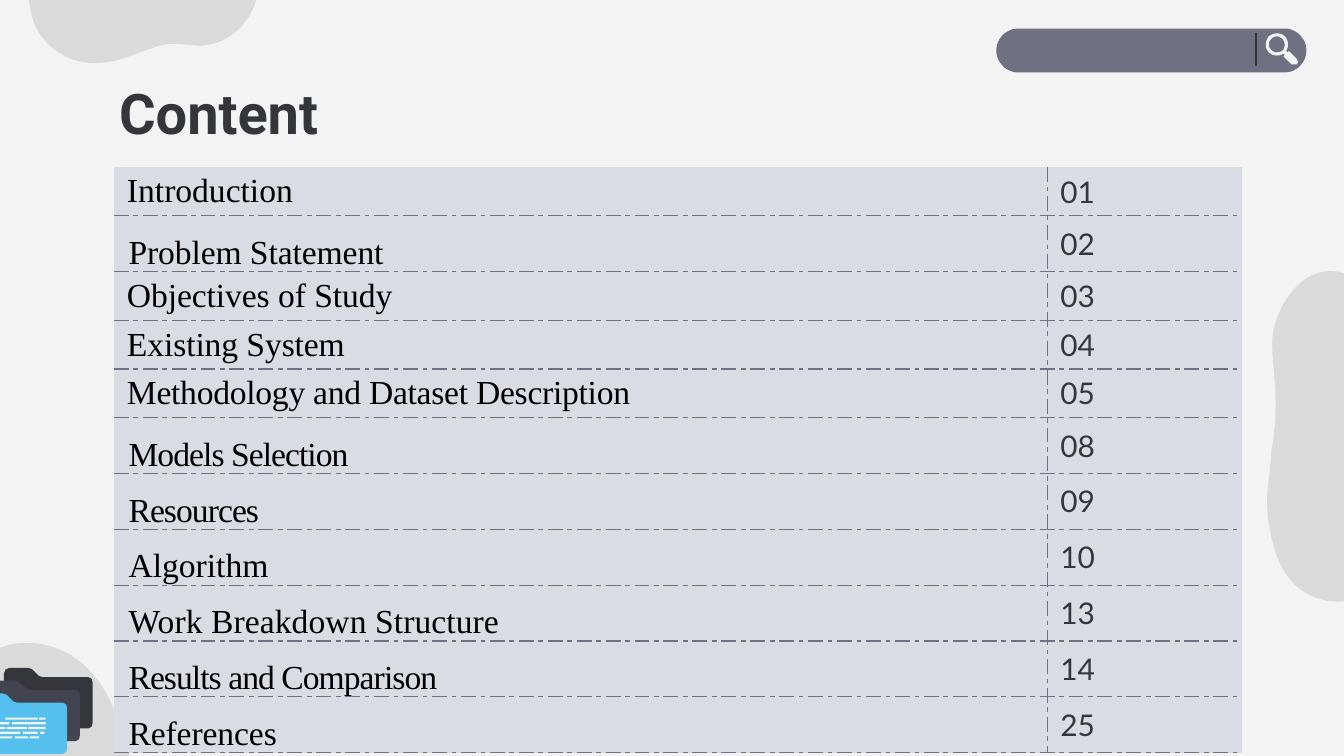
"""Build the contents slide: a page table with search bar, folders and soft blobs."""
from lxml import etree
from pptx import Presentation
from pptx.dml.color import RGBColor
from pptx.enum.shapes import MSO_CONNECTOR, MSO_SHAPE
from pptx.enum.text import MSO_ANCHOR, PP_ALIGN
from pptx.oxml.ns import qn
from pptx.util import Cm, Pt

STRAIGHT = MSO_CONNECTOR.STRAIGHT
PILL = MSO_SHAPE.ROUNDED_RECTANGLE
TOP, MIDDLE, LEFT = MSO_ANCHOR.TOP, MSO_ANCHOR.MIDDLE, PP_ALIGN.LEFT

THEME = {
    "background": "F3F3F3", "blob": "000000", "ink": "35363B", "slate": "6F7082",
    "cell": "D9DDE3", "topic": "000000", "folders": ("35363B", "42444F", "55C0ED"),
    "title_font": "Roboto", "topic_font": "Times New Roman", "page_font": "Lato",
    "title_size": 30, "topic_size": 18, "page_size": 16, "rule": 0.75,
}

TITLE = "Content"
TOPICS = [
    {"runs": [("Introduction", 0)], "page": "01", "roomy": False},
    {"runs": [("Problem Statement", -5)], "page": "02", "roomy": True},
    {"runs": [("Objectives ", -5), ("of ", 0), ("Study", -5)], "page": "03", "roomy": False},
    {"runs": [("Existing System", -5)], "page": "04", "roomy": False},
    {"runs": [("Methodology and Dataset Description", -15)], "page": "05", "roomy": False},
    {"runs": [("Models Selection", -50)], "page": "08", "roomy": True},
    {"runs": [("Resources", -50)], "page": "09", "roomy": True},
    {"runs": [("Algorithm", 0)], "page": "10", "roomy": True},
    {"runs": [("Work Breakdown Structure", 5)], "page": "13", "roomy": True},
    {"runs": [("Results and Comparison", -50)], "page": "14", "roomy": True},
    {"runs": [("References", -5)], "page": "25", "roomy": True},
]

UNIT = Cm(0.0254)
FINE = 100
BLOBS = [
    [(47, 41), (50, 43, 53, 44, 57, 45), (81, 52, 100, 39, 119, 34),
     (129, 31, 140, 34, 150, 34), (183, 32, 200, -5, 190, -29),
     (185, -42, 176, -52, 163, -59), (154, -64, 144, -67, 132, -70),
     (101, -77, 80, -82, 50, -67), (19, -52, 16, -13, 25, 16), (25, 16, 30, 32, 47, 41)],
    [(30, 479), (39, 481, 49, 484, 59, 492), (82, 510, 90, 540, 97, 564),
     (104, 589, 94, 610, 74, 618), (69, 620, 64, 620, 60, 620),
     (47, 618, 36, 607, 17, 603), (14, 603, 11, 602, 8, 602), (5, 601, 2, 601, -1, 600),
     (-14, 598, -22, 596, -36, 583), (-56, 565, -54, 529, -33, 506),
     (-12, 482, 11, 479, 11, 479), (11, 479, 19, 478, 30, 479)],
    [(1080, 349), (1082, 334, 1082, 317, 1077, 299), (1067, 257, 1039, 234, 1017, 214),
     (995, 193, 969, 200, 954, 228), (950, 236, 948, 242, 947, 249),
     (945, 269, 952, 290, 948, 321), (948, 326, 947, 331, 946, 335),
     (946, 341, 945, 345, 945, 350), (942, 371, 941, 384, 949, 411),
     (961, 448, 998, 459, 1030, 435), (1061, 411, 1073, 378, 1073, 378),
     (1073, 378, 1077, 366, 1080, 349)],
]
MAGNIFIER = [
    [(965, 44), (959, 38), (958, 39), (957, 38), (959, 35, 959, 30, 956, 27),
     (953, 24, 948, 24, 944, 27), (941, 31, 941, 36, 944, 39), (947, 42, 952, 42, 955, 40),
     (956, 41), (955, 42), (961, 48), (962, 48, 964, 48, 965, 48), (966, 47, 966, 45, 965, 44)],
    [(950, 39), (947, 39, 944, 36.5, 944, 33), (944, 30, 947, 27, 950, 27),
     (953, 27, 956, 30, 956, 33), (956, 37, 954, 39, 950, 39)],
]
FOLDER = [(24, 498), (29, 503), (30, 504, 31, 504, 32, 504), (66, 504),
          (68, 504, 69, 506, 69, 508), (69, 538), (69, 540, 68, 542, 66, 542), (7, 542),
          (5, 542, 3, 540, 3, 538), (3, 501), (3, 499, 5, 497, 7, 497), (21, 497),
          (22, 497, 23, 497, 24, 498)]
FOLDER_SHIFT = 9.5
FOLDER_LINES = [[(4, 28), (29, 34)], [(0, 7), (9, 34)], [(0, 4), (5, 20), (21, 34)],
                [(0, 15), (17, 28), (30, 33)], [(0, 9), (11, 21), (22, 29)]]
LINE_TOP, LINE_PITCH, LINE_HEIGHT = 534, 3.5, 1.6


def paint(shape, color):
    shape.shadow.inherit = False
    shape.fill.solid()
    shape.fill.fore_color.rgb = RGBColor.from_string(color)
    shape.line.fill.background()
    return shape


def bend(shape, steps):
    segments = iter(list(shape._element.iter(qn("a:lnTo"))))
    for step in steps:
        segment = next(segments)
        if len(step) == 6:
            curve = etree.Element(qn("a:cubicBezTo"))
            segment.addprevious(curve)
            for control in (segment, next(segments), next(segments)):
                curve.append(control[0])
                control.getparent().remove(control)


def draw(shapes, contours, color, shift=0):
    builder = None
    for contour in contours:
        points = [((step[i] - shift) * FINE, (step[i + 1] + shift) * FINE)
                  for step in contour for i in range(0, len(step), 2)]
        if builder is None:
            builder = shapes.build_freeform(*points[0], scale=UNIT / FINE)
        else:
            builder.move_to(*points[0])
        builder.add_line_segments(points[1:], close=False)
    shape = builder.convert_to_shape()
    bend(shape, [step for contour in contours for step in contour[1:]])
    for start in list(shape._element.iter(qn("a:moveTo")))[1:]:
        start.addprevious(etree.Element(qn("a:close")))
    etree.SubElement(next(shape._element.iter(qn("a:path"))), qn("a:close"))
    return paint(shape, color)


def add_blobs(shapes):
    for outline in BLOBS:
        blob = draw(shapes, [outline], THEME["blob"])
        color = blob._element.spPr.find(qn("a:solidFill"))[0]
        etree.SubElement(color, qn("a:alpha"), val="10000")


def add_search_bar(shapes):
    bar = paint(shapes.add_shape(PILL, Cm(18.83), Cm(0.54), Cm(5.86), Cm(0.83)),
                THEME["slate"])
    bar.adjustments[0] = 0.5
    draw(shapes, MAGNIFIER, THEME["background"])
    divider = shapes.add_connector(STRAIGHT, Cm(23.74), Cm(0.63), Cm(23.74), Cm(1.25))
    divider.line.color.rgb = RGBColor.from_string(THEME["ink"])
    divider.line.width = Pt(THEME["rule"])
    etree.SubElement(divider._element.spPr, qn("a:effectLst"))


def add_folders(shapes):
    for number, color in enumerate(THEME["folders"]):
        draw(shapes, [FOLDER], color, number * FOLDER_SHIFT)
    dashes = []
    for row, spans in enumerate(FOLDER_LINES):
        top = LINE_TOP + row * LINE_PITCH
        bottom = top + LINE_HEIGHT
        dashes += [[(a, top), (b, top), (b, bottom), (a, bottom)] for a, b in spans]
    draw(shapes, dashes, THEME["background"])


def add_run(paragraph, text, kind, color, spacing=0, bold=False):
    run = paragraph.add_run()
    run.text = text
    run.font.name, run.font.size = THEME[kind + "_font"], Pt(THEME[kind + "_size"])
    run.font.bold = bold
    run.font.color.rgb = RGBColor.from_string(color)
    if spacing:
        run._r.get_or_add_rPr().set("spc", str(spacing))


def style_cell(cell, ruled):
    properties = cell._tc.get_or_add_tcPr()
    for side in "LRTB":
        edge = etree.SubElement(properties, qn("a:ln" + side), w=str(Pt(THEME["rule"])))
        if side in ruled:
            fill = etree.SubElement(edge, qn("a:solidFill"))
            etree.SubElement(fill, qn("a:srgbClr"), val=THEME["slate"])
            etree.SubElement(edge, qn("a:prstDash"), val="dashDot")
        else:
            etree.SubElement(edge, qn("a:noFill"))
    cell.fill.solid()
    cell.fill.fore_color.rgb = RGBColor.from_string(THEME["cell"])
    cell.margin_left = cell.margin_right = Cm(0.25)
    cell.margin_top = cell.margin_bottom = 0
    cell.vertical_anchor = MIDDLE


def add_contents(shapes):
    table = shapes.add_table(len(TOPICS), 2, Cm(2.15), Cm(3.16), Cm(21.32), Cm(10.4)).table
    table.first_row = table.horz_banding = False
    table.columns[0].width, table.columns[1].width = Cm(17.64), Cm(3.68)
    for row, entry in enumerate(TOPICS):
        table.rows[row].height = Cm(0.97 if entry["roomy"] else 0.92)
        topic_cell, page_cell = table.cell(row, 0), table.cell(row, 1)
        across = "TB" if row else "B"
        style_cell(topic_cell, "R" + across)
        style_cell(page_cell, "L" + across)
        topic = topic_cell.text_frame.paragraphs[0]
        if entry["roomy"]:
            topic.line_spacing = 1.5
            topic._p.get_or_add_pPr().set("marL", str(Cm(0.03)))
        for text, spacing in entry["runs"]:
            add_run(topic, text, "topic", THEME["topic"], spacing)
        number = page_cell.text_frame.paragraphs[0]
        number.space_after = Pt(16)
        add_run(number, entry["page"], "page", THEME["ink"])


def main():
    deck = Presentation()
    deck.slide_width, deck.slide_height = Cm(25.4), Cm(14.29)
    slide = deck.slides.add_slide(deck.slide_layouts[5])
    slide.background.fill.solid()
    slide.background.fill.fore_color.rgb = RGBColor.from_string(THEME["background"])
    add_blobs(slide.shapes)
    add_search_bar(slide.shapes.add_group_shape().shapes)
    add_folders(slide.shapes.add_group_shape().shapes)
    title = slide.shapes.title
    title.left, title.top, title.width, title.height = Cm(2), Cm(1.24), Cm(21.41), Cm(1.6)
    frame = title.text_frame
    frame.margin_left = frame.margin_right = frame.margin_top = frame.margin_bottom = Cm(0.25)
    frame.vertical_anchor = TOP
    frame.paragraphs[0].alignment = LEFT
    add_run(frame.paragraphs[0], TITLE, "title", THEME["ink"], bold=True)
    add_contents(slide.shapes)
    deck.save("out.pptx")


if __name__ == "__main__":
    main()
